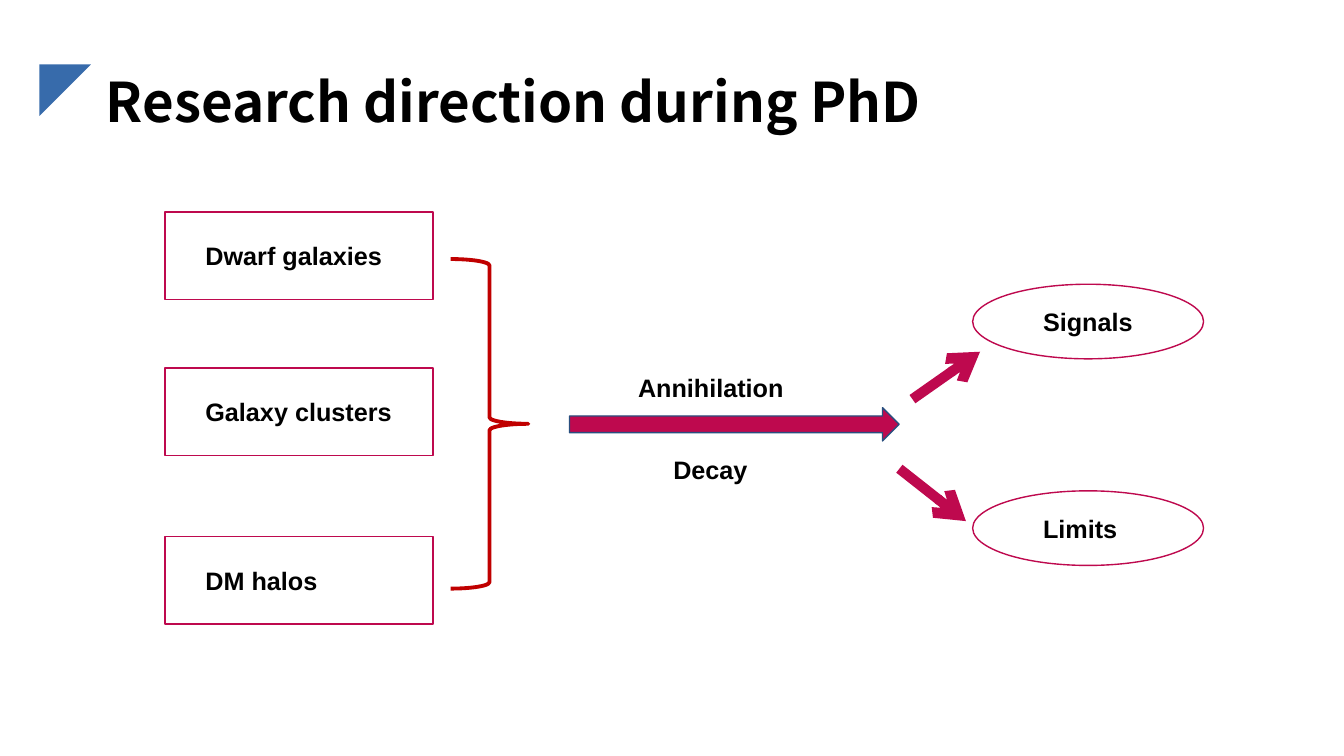
"""Build a slide on research directions: targets, processes and outcomes."""
from lxml.etree import SubElement
from pptx import Presentation
from pptx.dml.color import RGBColor
from pptx.enum.shapes import MSO_CONNECTOR, MSO_SHAPE
from pptx.enum.text import MSO_ANCHOR, MSO_AUTO_SIZE
from pptx.oxml.ns import qn
from pptx.util import Inches, Pt

TITLE = "Research direction during PhD"
TARGETS = [("Dwarf galaxies", 28.03, 14.8), ("Galaxy clusters", 48.67, 15.6), ("DM halos", 70.96, 10)]
PROCESSES = [("Annihilation", 46.74, 48.53, 12.6), ("Decay", 49.36, 59.47, 7.3)]
OUTCOMES = [("Signals", 37.6, 8.4), ("Limits", 64.93, 7.3)]
BRANCHES = [(67.89, 52.8, 72.92, 46.53), (66.92, 62, 71.87, 68.93)]
TARGET_LEFT, TARGET_WIDTH, TARGET_HEIGHT, TARGET_LABEL = 12.27, 19.95, 11.6, 14.55
OUTCOME_LEFT, OUTCOME_WIDTH, OUTCOME_HEIGHT, OUTCOME_LABEL = 72.37, 17.18, 9.87, 76.87
LABEL_HEIGHT = 5.33
BLUE, CRIMSON, RED, NAVY, BLACK = "376BAB", "BE094E", "C00000", "294F7F", "000000"

deck = Presentation()
deck.slide_width, deck.slide_height = Inches(13.33), Inches(7.5)
page = deck.slides.add_slide(deck.slide_layouts[6])


def color(value):
    """Turn a hex string into a colour."""
    return RGBColor.from_string(value)


def place(*shares):
    """Turn alternating percentages of slide width and height into lengths."""
    sizes = (deck.slide_width, deck.slide_height) * 2
    return [int(size * share / 100) for size, share in zip(sizes, shares)]


def add_figure(kind, left, top, width, height, fill=None, line=None, weight=1):
    """Draw a preset shape."""
    figure = page.shapes.add_shape(kind, *place(left, top, width, height))
    figure.shadow.inherit = False
    if fill:
        figure.fill.solid()
        figure.fill.fore_color.rgb = color(fill)
    else:
        figure.fill.background()
    if line:
        figure.line.color.rgb = color(line)
        figure.line.width = Pt(weight)
    else:
        figure.line.fill.background()
    return figure


def add_text(text, left, top, width, height=LABEL_HEIGHT, size=18, font="Arial",
             wrap=False, anchor=MSO_ANCHOR.TOP, spacing=None):
    """Write one bold line of text."""
    box = page.shapes.add_textbox(*place(left, top, width, height))
    frame = box.text_frame
    frame.word_wrap = wrap
    frame.auto_size = MSO_AUTO_SIZE.NONE if wrap else MSO_AUTO_SIZE.SHAPE_TO_FIT_TEXT
    frame.vertical_anchor = anchor
    para = frame.paragraphs[0]
    para.line_spacing = spacing
    span = para.add_run()
    span.text = text
    span.font.name, span.font.size, span.font.bold = font, Pt(size), True
    span.font.color.rgb = color(BLACK)


def add_branch(*ends):
    """Draw a thick line with an open arrowhead at its end."""
    branch = page.shapes.add_connector(MSO_CONNECTOR.STRAIGHT, *place(*ends))
    branch.line.color.rgb = color(CRIMSON)
    branch.line.width = Pt(7.25)
    SubElement(branch.line._get_or_add_ln(), qn("a:tailEnd"), type="arrow")
    SubElement(branch._element.spPr, qn("a:effectLst"))


def add_group(entries, kind, left, width, height, label_left):
    """Draw a column of outlined shapes with vertically centred labels."""
    for text, top, label_width in entries:
        add_figure(kind, left, top, width, height, line=CRIMSON)
        add_text(text, label_left, top + (height - LABEL_HEIGHT) / 2, label_width)


def main():
    """Compose and save the slide."""
    corner = add_figure(MSO_SHAPE.RIGHT_TRIANGLE, 2.93, 8.53, 3.83, 6.8, fill=BLUE)
    corner.rotation = 90
    add_text(TITLE, 7.13, 6.93, 62.8, 10.93, size=39, font="Noto Sans CJK SC",
             wrap=True, anchor=MSO_ANCHOR.MIDDLE, spacing=1.2)
    add_group(TARGETS, MSO_SHAPE.RECTANGLE, TARGET_LEFT, TARGET_WIDTH, TARGET_HEIGHT, TARGET_LABEL)
    add_figure(MSO_SHAPE.RIGHT_BRACE, 33.53, 34.27, 5.78, 43.6, line=RED, weight=2.75)
    add_figure(MSO_SHAPE.RIGHT_ARROW, 42.37, 53.93, 24.53, 4.4, fill=CRIMSON, line=NAVY)
    for process in PROCESSES:
        add_text(*process)
    add_group(OUTCOMES, MSO_SHAPE.OVAL, OUTCOME_LEFT, OUTCOME_WIDTH, OUTCOME_HEIGHT, OUTCOME_LABEL)
    for branch in BRANCHES:
        add_branch(*branch)
    deck.save("out.pptx")


if __name__ == "__main__":
    main()
